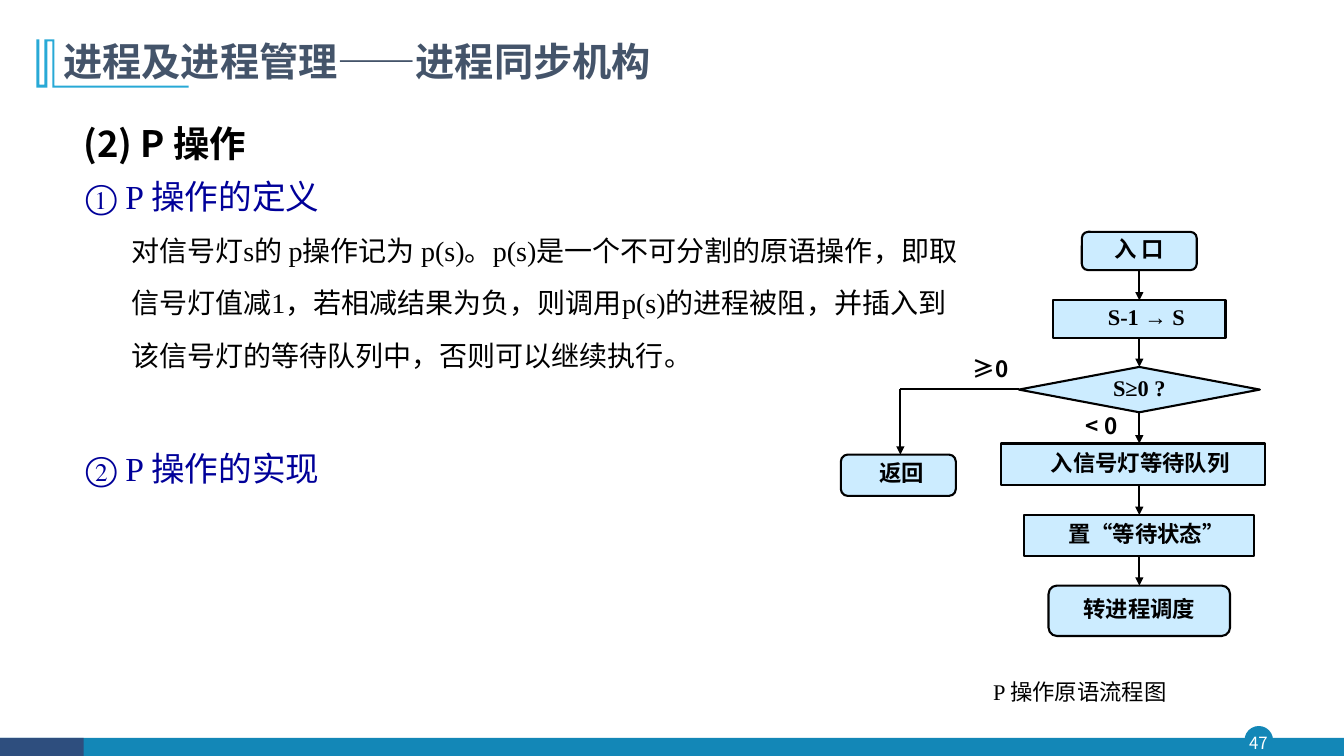
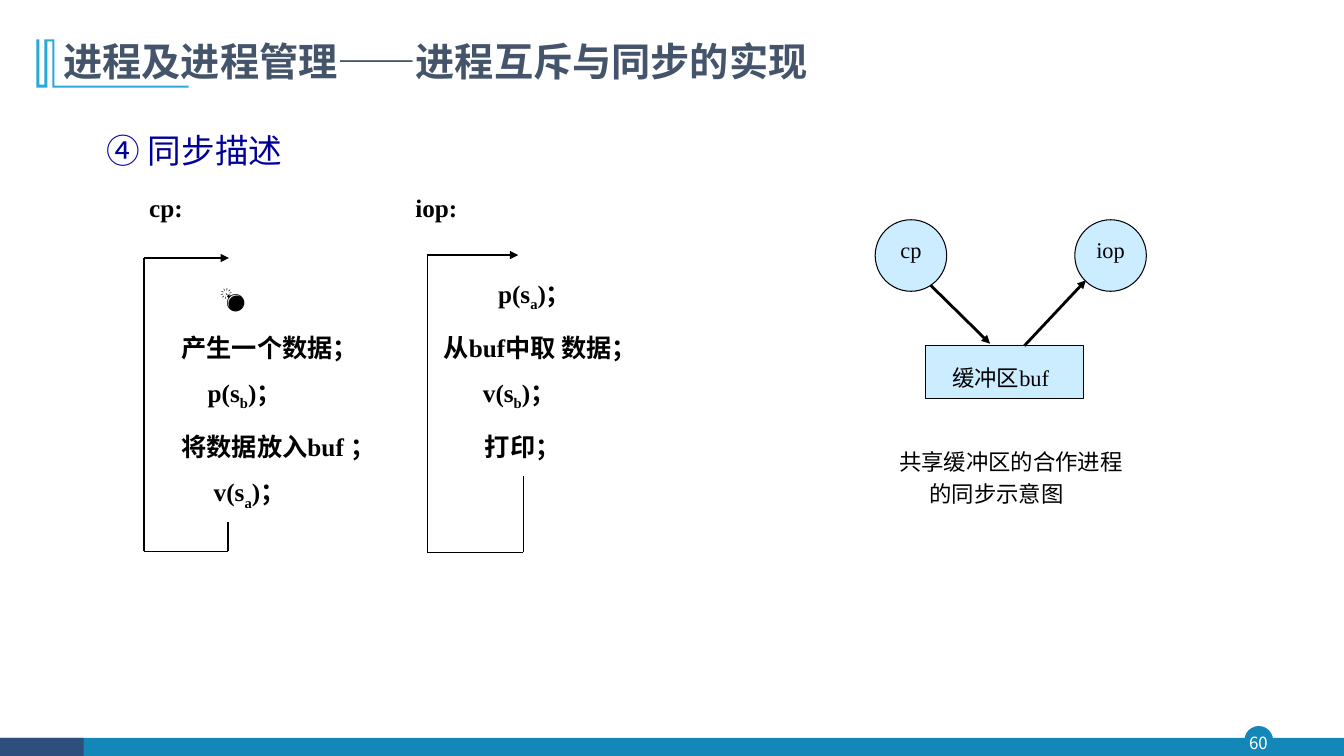
from dataclasses import dataclass
from itertools import pairwise

from lxml.etree import SubElement
from pptx import Presentation
from pptx.dml.color import RGBColor
from pptx.enum.shapes import MSO_CONNECTOR, MSO_SHAPE
from pptx.enum.text import MSO_ANCHOR, PP_ALIGN
from pptx.oxml.ns import qn
from pptx.util import Inches, Pt


@dataclass(frozen=True)
class Theme:
    wide: float = 13.33
    high: float = 7.5
    sans: str = "Noto Sans CJK SC"
    serif: str = "Times New Roman"
    ink: str = "000000"
    slate: str = "44546A"
    navy: str = "000099"
    white: str = "FFFFFF"
    pale: str = "CCECFF"
    teal: str = "1387B7"
    deep: str = "2E4E7E"
    sky: str = "28A9D6"
    title: int = 28
    topic: int = 26
    head: int = 24
    body: int = 20
    code: int = 18
    label: int = 16
    page: int = 12


T = Theme()


def box(*sides):
    return [Inches(side) for side in sides]


def fill_in(frame, lines, size, color=T.ink, font=T.serif, bold=False,
            align=PP_ALIGN.LEFT, pitch=None, gap=0, pad=(0, 0, 0, 0)):
    """Write (text, margin, first-line indent) lines; _ lowers the next letter."""
    frame.word_wrap = True
    frame.margin_left, frame.margin_top, frame.margin_right, frame.margin_bottom = box(*pad)
    frame.vertical_anchor = MSO_ANCHOR.TOP if pitch else MSO_ANCHOR.MIDDLE
    for i, (text, margin, first) in enumerate(lines):
        para = frame.add_paragraph() if i else frame.paragraphs[0]
        para.alignment = align
        if pitch:
            para.line_spacing = Pt(pitch)
        if i and gap:
            para.space_before = Pt(gap)
        props = para._p.get_or_add_pPr()
        props.set("marL", str(Inches(margin)))
        props.set("indent", str(Inches(first)))
        style = para.font
        style.name, style.size, style.bold = font, Pt(size), bold
        style.color.rgb = RGBColor.from_string(color)
        SubElement(style._rPr, qn("a:ea")).set("typeface", T.sans)
        start, *rest = text.split("_")
        para.add_run().text = start
        for piece in rest:
            low = para.add_run()
            low.text = piece[0]
            low.font._rPr.set("baseline", "-25000")
            para.add_run().text = piece[1:]


def write(slide, x, y, w, h, lines, size, **look):
    """Place a text box; without a pitch its one line is centred in height."""
    if isinstance(lines, str):
        lines = [(lines, 0, 0)]
    frame = slide.shapes.add_textbox(*box(x, y, w, h)).text_frame
    fill_in(frame, lines, size, **look)


def paint(shape, fill, line=None, width=1):
    shape.shadow.inherit = False
    shape.fill.solid()
    shape.fill.fore_color.rgb = RGBColor.from_string(fill)
    if line:
        shape.line.color.rgb = RGBColor.from_string(line)
        shape.line.width = Pt(width)
    else:
        shape.line.fill.background()


def draw(slide, kind, x, y, w, h, fill, line=None, width=1):
    shape = slide.shapes.add_shape(kind, *box(x, y, w, h))
    paint(shape, fill, line, width)
    return shape


def node(slide, kind, x, y, w, h, text, width=1.5, **look):
    shape = draw(slide, kind, x, y, w, h, T.pale, T.ink, width)
    fill_in(shape.text_frame, [(text, 0, 0)], T.label, align=PP_ALIGN.CENTER, **look)


def route(slide, points, width):
    """Join points with straight lines, with an arrowhead at the last one."""
    for start, end in pairwise(points):
        link = slide.shapes.add_connector(MSO_CONNECTOR.STRAIGHT, *box(*start, *end))
        link.line.color.rgb = RGBColor.from_string(T.ink)
        link.line.width = Pt(width)
        SubElement(link._element.spPr, qn("a:effectLst"))
    SubElement(link.line._get_or_add_ln(), qn("a:tailEnd")).set("type", "triangle")


def emblem(slide, x, y):
    edge = [(0.18, 0), (0.18, 0.46), (1.51, 0.46), (1.51, 0.48), (0.16, 0.48),
            (0.16, 0.02), (0.11, 0.02), (0.11, 0.48), (0, 0.48), (0, 0),
            (0.03, 0), (0.03, 0.45), (0.08, 0.45), (0.08, 0)]
    spots = [box(x + dx, y + dy) for dx, dy in edge]
    pen = slide.shapes.build_freeform(*spots[0], scale=1.0)
    pen.add_line_segments(spots[1:], close=True)
    paint(pen.convert_to_shape(), T.sky)


def footer(slide, y, number):
    draw(slide, MSO_SHAPE.OVAL, 12.35, y, 0.27, 0.27, T.teal, T.teal)
    for width, color in ((T.wide, T.teal), (0.83, T.deep)):
        draw(slide, MSO_SHAPE.RECTANGLE, 0, y + 0.11, width, 0.18, color)
    write(slide, 12.32, y, 0.32, 0.31, str(number), T.page, color=T.white,
          font=T.sans, align=PP_ALIGN.CENTER)


def page(deck, title, number):
    slide = deck.slides.add_slide(deck.slide_layouts[6])
    footer(slide, 7.21, number)
    emblem(slide, 0.36, 0.39)
    write(slide, 0.63, 0.3, 10.4, 0.6, title, T.title, color=T.slate,
          font=T.sans, bold=True)
    return slide


def heading(slide, x, y, text):
    write(slide, x, y, 4, 0.5, text, T.head, color=T.navy)


def prose(slide, x, y, w):
    lines = ["对信号灯s的 p操作记为 p(s)。p(s)是一个不可分割的原语操作，即取",
             "信号灯值减1，若相减结果为负，则调用p(s)的进程被阻，并插入到",
             "该信号灯的等待队列中，否则可以继续执行。"]
    write(slide, x, y, w, 1.9, [(line, 0.14, -0.14) for line in lines], T.body,
          pitch=30.7, gap=6.8)


def flow(slide, x, y):
    """Draw the P flowchart down the axis x, from the top y."""
    rect, soft = MSO_SHAPE.RECTANGLE, MSO_SHAPE.ROUNDED_RECTANGLE
    steps = [
        (soft, 0, 0, 1.14, 0.38, "入 口", 0),
        (rect, 0, 0.68, 1.71, 0.37, "S-1 → S", 0.14),
        (MSO_SHAPE.FLOWCHART_DECISION, 0, 1.34, 2.39, 0.45, "S≥0 ?", 0),
        (rect, -0.06, 2.1, 2.62, 0.41, "入信号灯等待队列", 0.14),
        (rect, 0, 2.81, 2.28, 0.41, "置“等待状态”", 0.14),
        (soft, 0, 3.51, 1.8, 0.5, "转进程调度", 0),
    ]
    for kind, dx, top, w, h, text, shift in steps:
        node(slide, kind, x + dx - w / 2, y + top, w, h, text, bold=True,
             pad=(shift, 0, 0, 0.04))
    for above, below in pairwise(steps):
        route(slide, [(x, y + above[2] + above[4]), (x, y + below[2])], 1.5)
    back = x - 2.37
    node(slide, soft, back - 0.59, y + 2.21, 1.14, 0.41, "返回", bold=True,
         pad=(0.06, 0, 0, 0.06))
    route(slide, [(x - 1.19, y + 1.56), (back, y + 1.56), (back, y + 2.21)], 1.5)
    for dx, top, text in ((-1.65, 1.2, "≥0"), (-0.53, 1.76, "< 0")):
        write(slide, x + dx, y + top, 0.6, 0.32, text, T.label, font=T.sans, bold=True)
    write(slide, x - 1.45, y + 4.36, 2.3, 0.4, "P 操作原语流程图", T.label)


def code(slide, x, y, name, lines):
    write(slide, x, y, 1, 0.4, name, T.code, bold=True)
    write(slide, x, y + 0.75, 2.6, 2.5, [(line, left, 0) for line, left in lines],
          T.code, bold=True, pitch=35.4)


def loop(slide, x, y, w, h, rise, reach):
    """Run from the lower right, round the left side, to an arrow at the top."""
    route(slide, [(x + w, y + h - rise), (x + w, y + h), (x, y + h), (x, y),
                  (x + reach, y)], 1)


def buffer(slide, x, y):
    for dx, text in ((0, "cp"), (1.98, "iop")):
        node(slide, MSO_SHAPE.OVAL, x + dx, y, 0.71, 0.71, text, width=0.75,
             pad=(0, 0, 0, 0.12))
    node(slide, MSO_SHAPE.RECTANGLE, x + 0.5, y + 1.25, 1.57, 0.52, "缓冲区buf",
         width=0.75, pad=(0, 0.12, 0.08, 0))
    route(slide, [(x + 0.55, y + 0.65), (x + 1.14, y + 1.23)], 2)
    route(slide, [(x + 1.48, y + 1.25), (x + 2.09, y + 0.6)], 2)
    write(slide, x + 0.24, y + 2.21, 2.5, 0.74,
          [("共享缓冲区的合作进程", 0, 0), ("的同步示意图", 0.3, 0)], T.label, pitch=23)


def signal(deck):
    slide = page(deck, "进程及进程管理——进程同步机构", 47)
    write(slide, 0.83, 1.12, 3, 0.6, "(2) P 操作", T.topic, font=T.sans, bold=True)
    heading(slide, 0.85, 1.7, "① P 操作的定义")
    prose(slide, 1.3, 2.22, 8.47)
    heading(slide, 0.85, 4.39, "② P 操作的实现")
    flow(slide, 11.3, 2.3)


def sync(deck):
    slide = page(deck, "进程及进程管理——进程互斥与同步的实现", 60)
    heading(slide, 1.06, 1.24, "④ 同步描述")
    code(slide, 1.48, 1.86, "cp:",
         [("💣", 0.7), ("产生一个数据；", 0.32), ("p(s_b)；", 0.58),
          ("将数据放入buf ；", 0.32), ("v(s_a)；", 0.64)])
    code(slide, 4.12, 1.86, "iop:",
         [("p(s_a)；", 0.82), ("从buf中取 数据；", 0.28), ("v(s_b)；", 0.67),
          ("打印；", 0.69)])
    loop(slide, 1.43, 2.56, 0.83, 2.91, 0.29, 0.84)
    loop(slide, 4.24, 2.53, 0.95, 2.95, 0.76, 0.9)
    buffer(slide, 8.68, 2.18)


def main():
    deck = Presentation()
    deck.slide_width, deck.slide_height = box(T.wide, T.high)
    signal(deck)
    sync(deck)
    deck.save("out.pptx")


if __name__ == "__main__":
    main()
